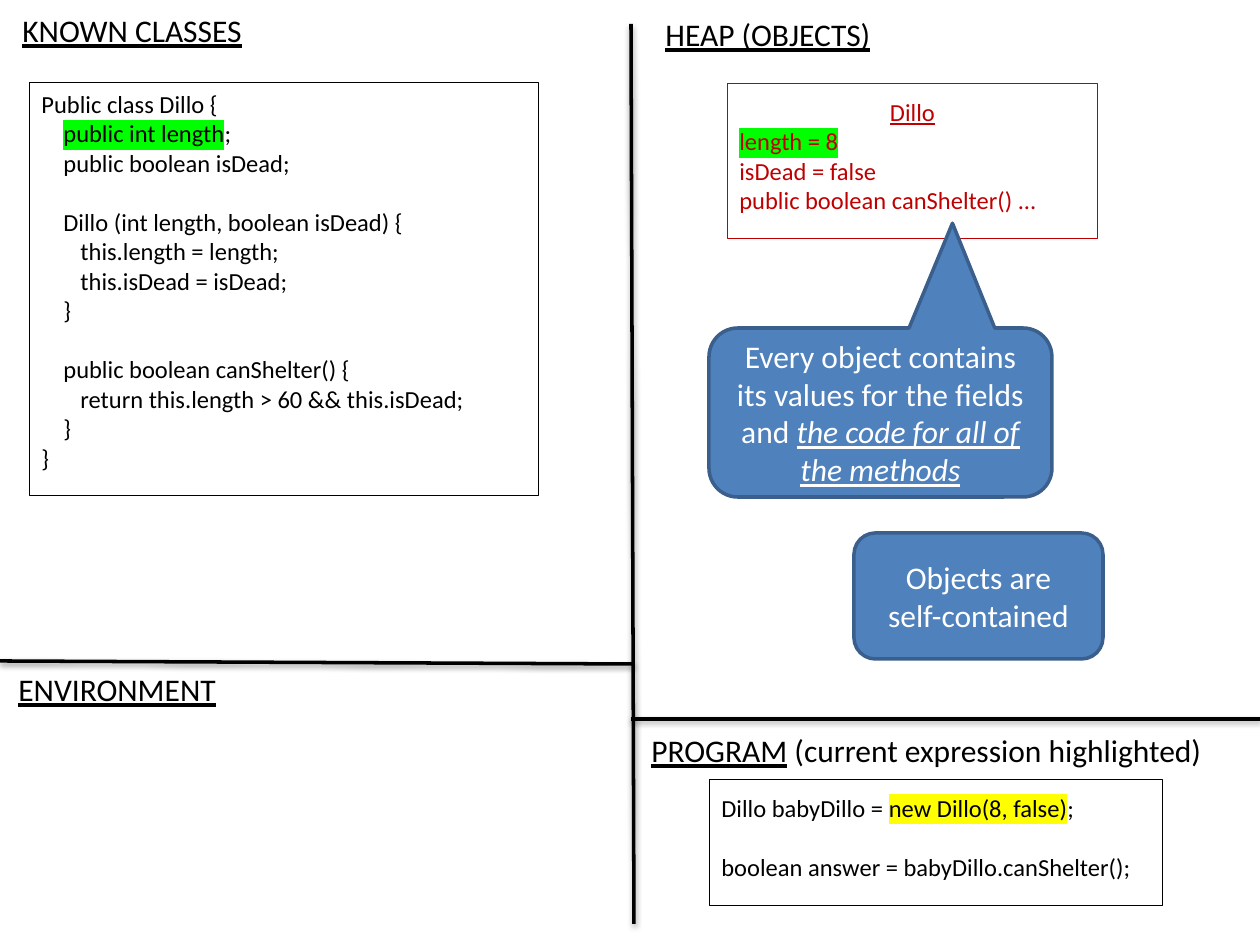
from dataclasses import dataclass

from lxml import etree
from pptx import Presentation, util as u
from pptx.dml.color import RGBColor
from pptx.enum import shapes, text
from pptx.oxml import parse_xml
from pptx.oxml.ns import nsdecls, qn

PX_PER_INCH = 126
BLACK, WHITE, RED, BLUE, NAVY = "000000", "FFFFFF", "C00000", "4F81BD", "3A5F8C"
GREEN, YELLOW = "00FF00", "FFFF00"
LINE_GAP = 17  # points, one line of code


def px(n: float) -> u.Emu:
    return u.Emu(round(n * u.Inches(1) / PX_PER_INCH))


def rgb(color: str) -> RGBColor:
    return RGBColor.from_string(color)


@dataclass
class Span:
    text: str
    highlight: str = ""
    underline: bool = False
    italic: bool = False


@dataclass
class Line:
    spans: list[Span]
    indent: int = 0
    gap: int = 0
    centered: bool = False
    underline: bool = False


@dataclass
class Box:
    at: tuple[int, int, int, int]
    lines: list[Line]
    color: str = BLACK
    top_inset: int = 6


@dataclass
class Bubble:
    at: tuple[int, int, int, int]
    kind: shapes.MSO_SHAPE
    adjustments: list[float]
    lines: list[Line]


def code(content: str, indent: int = 0, gap: int = 0) -> Line:
    return Line([Span(content)], indent, gap)


def write(tf, lines: list[Line], size: int, color: str) -> None:
    for i, line in enumerate(lines):
        p = tf.add_paragraph() if i else tf.paragraphs[0]
        p.alignment = text.PP_ALIGN.CENTER if line.centered else text.PP_ALIGN.LEFT
        p.space_before = u.Pt(line.gap)
        if line.indent:
            p._p.get_or_add_pPr().set("marL", str(px(line.indent)))
        p.font.name, p.font.size = "Calibri", u.Pt(size)
        p.font.color.rgb = rgb(color)
        if line.underline:
            p.font.underline = True
        for span in line.spans:
            r = p.add_run()
            r.text = span.text
            if span.underline:
                r.font.underline = True
            if span.italic:
                r.font.italic = True
            if span.highlight:
                mark = etree.SubElement(r._r.get_or_add_rPr(), qn("a:highlight"))
                etree.SubElement(mark, qn("a:srgbClr"), val=span.highlight)


def add_heading(s, at: tuple[int, int, int, int], line: Line) -> None:
    tf = s.shapes.add_textbox(*map(px, at)).text_frame
    tf.word_wrap = False
    tf.auto_size = text.MSO_AUTO_SIZE.SHAPE_TO_FIT_TEXT
    write(tf, [line], 18, BLACK)


def add_divider(s, x1: int, y1: int, x2: int, y2: int) -> None:
    line = s.shapes.add_connector(shapes.MSO_CONNECTOR.STRAIGHT, *map(px, (x1, y1, x2, y2)))
    line.line.color.rgb = rgb(BLACK)
    line.line.width = u.Pt(2)
    line._element.spPr.append(parse_xml(
        f'<a:effectLst {nsdecls("a")}><a:outerShdw blurRad="{u.Pt(3.1)}" dist="{u.Pt(1.6)}" '
        f'dir="5400000" rotWithShape="0"><a:srgbClr val="{BLACK}"><a:alpha val="38000"/>'
        '</a:srgbClr></a:outerShdw></a:effectLst>'))


def add_box(s, box: Box) -> None:
    sp = s.shapes.add_shape(shapes.MSO_SHAPE.RECTANGLE, *map(px, box.at))
    sp.shadow.inherit = False
    sp.fill.background()
    sp.line.color.rgb = rgb(box.color)
    sp.line.width = u.Pt(0.5)
    tf = sp.text_frame
    tf.word_wrap = True
    tf.vertical_anchor = text.MSO_ANCHOR.TOP
    tf.margin_top = px(box.top_inset)
    write(tf, box.lines, 14, box.color)


def add_bubble(s, bubble: Bubble) -> None:
    sp = s.shapes.add_shape(bubble.kind, *map(px, bubble.at))
    for i, value in enumerate(bubble.adjustments):
        sp.adjustments[i] = value
    sp.shadow.inherit = False
    sp.fill.solid()
    sp.fill.fore_color.rgb = rgb(BLUE)
    sp.line.color.rgb = rgb(NAVY)
    sp.line.width = u.Pt(2)
    tf = sp.text_frame
    tf.word_wrap = True
    tf.vertical_anchor = text.MSO_ANCHOR.MIDDLE
    write(tf, bubble.lines, 18, WHITE)


MEMBER, BODY = 22, 39  # code indents

HEADINGS = [
    ((10, 5, 248, 50), Line([Span("KNOWN CLASSES")], underline=True)),
    ((653, 9, 232, 50), Line([Span("HEAP (OBJECTS)")], underline=True)),
    ((6, 664, 224, 50), Line([Span("ENVIRONMENT")], underline=True)),
    ((639, 725, 582, 50), Line([Span("PROGRAM", underline=True),
                                Span(" (current expression highlighted)")])),
]
DIVIDERS = [(631, 24, 634, 924), (0, 661, 634, 664), (631, 719, 1260, 719)]
BOXES = [
    Box((29, 83, 509, 413), [
        code("Public class Dillo {"),
        Line([Span("public int length", GREEN), Span(";")], MEMBER),
        code("public boolean isDead;", MEMBER),
        code("Dillo (int length, boolean isDead) {", MEMBER, LINE_GAP),
        code("this.length = length;", BODY),
        code("this.isDead = isDead;", BODY),
        code("}", MEMBER),
        code("public boolean canShelter() {", MEMBER, LINE_GAP),
        code("return this.length > 60 && this.isDead;", BODY),
        code("}", MEMBER),
        code("}"),
    ]),
    Box((727, 83, 371, 155), [
        Line([Span("Dillo")], centered=True, underline=True),
        Line([Span("length = 8", GREEN)]),
        code("isDead = false"),
        code("public boolean canShelter() ..."),
    ], RED, 14),
    Box((709, 779, 454, 127), [
        Line([Span("Dillo babyDillo = "), Span("new Dillo(8, false)", YELLOW), Span(";")]),
        code("boolean answer = babyDillo.canShelter();", gap=LINE_GAP),
    ], top_inset=14),
]
BUBBLES = [
    Bubble((709, 328, 343, 169), shapes.MSO_SHAPE.ROUNDED_RECTANGULAR_CALLOUT,
           [0.21, -1.12, 0.17], [
        Line([Span("Every object contains its values for the fields and "),
              Span("the code for all of the methods", underline=True, italic=True)],
             centered=True)]),
    Bubble((854, 533, 249, 126), shapes.MSO_SHAPE.ROUNDED_RECTANGLE, [0.17], [
        Line([Span("Objects are")], centered=True),
        Line([Span("self-contained")], centered=True)]),
]

prs = Presentation()
prs.slide_width, prs.slide_height = u.Inches(10), u.Inches(7.5)
s = prs.slides.add_slide(prs.slide_layouts[6])

# Quadrant headings and dividers
for at, heading in HEADINGS:
    add_heading(s, at, heading)
for ends in DIVIDERS:
    add_divider(s, *ends)

# Code, object and program boxes
for box in BOXES:
    add_box(s, box)

# Explanations
for bubble in BUBBLES:
    add_bubble(s, bubble)

prs.save("out.pptx")
